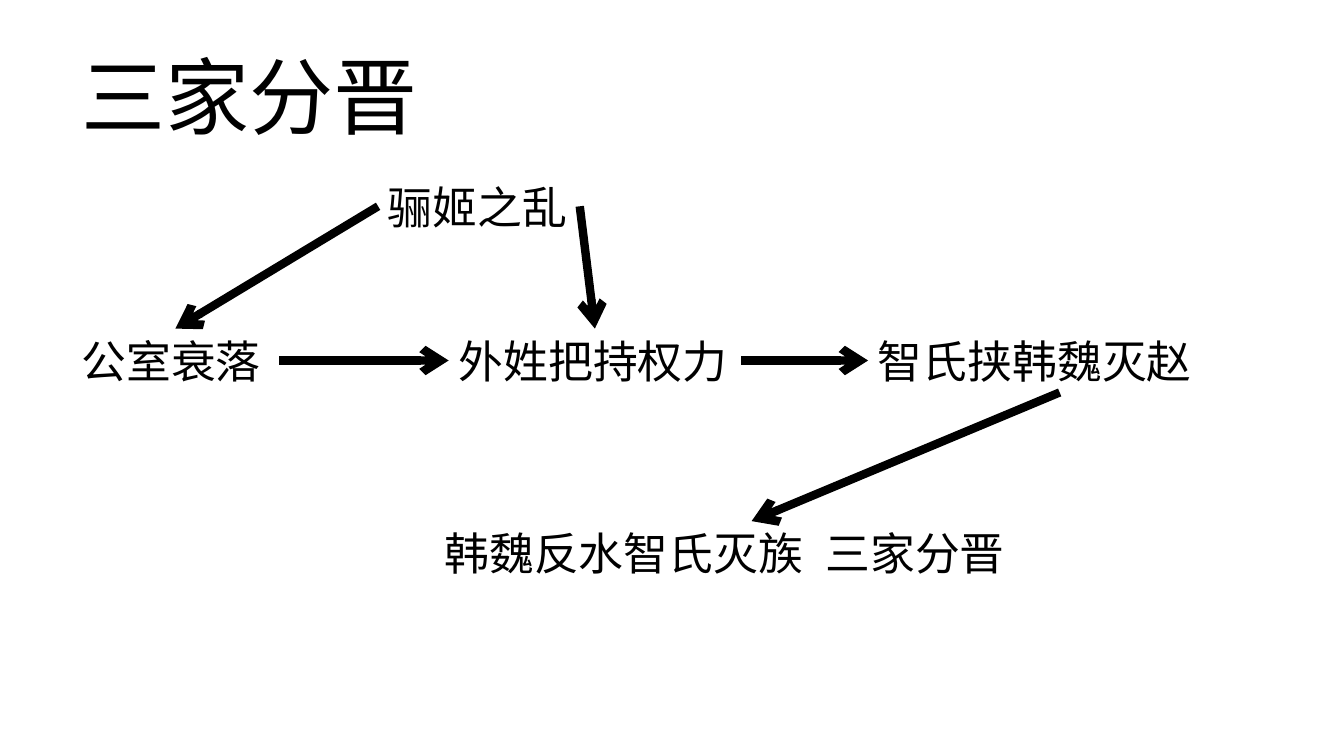
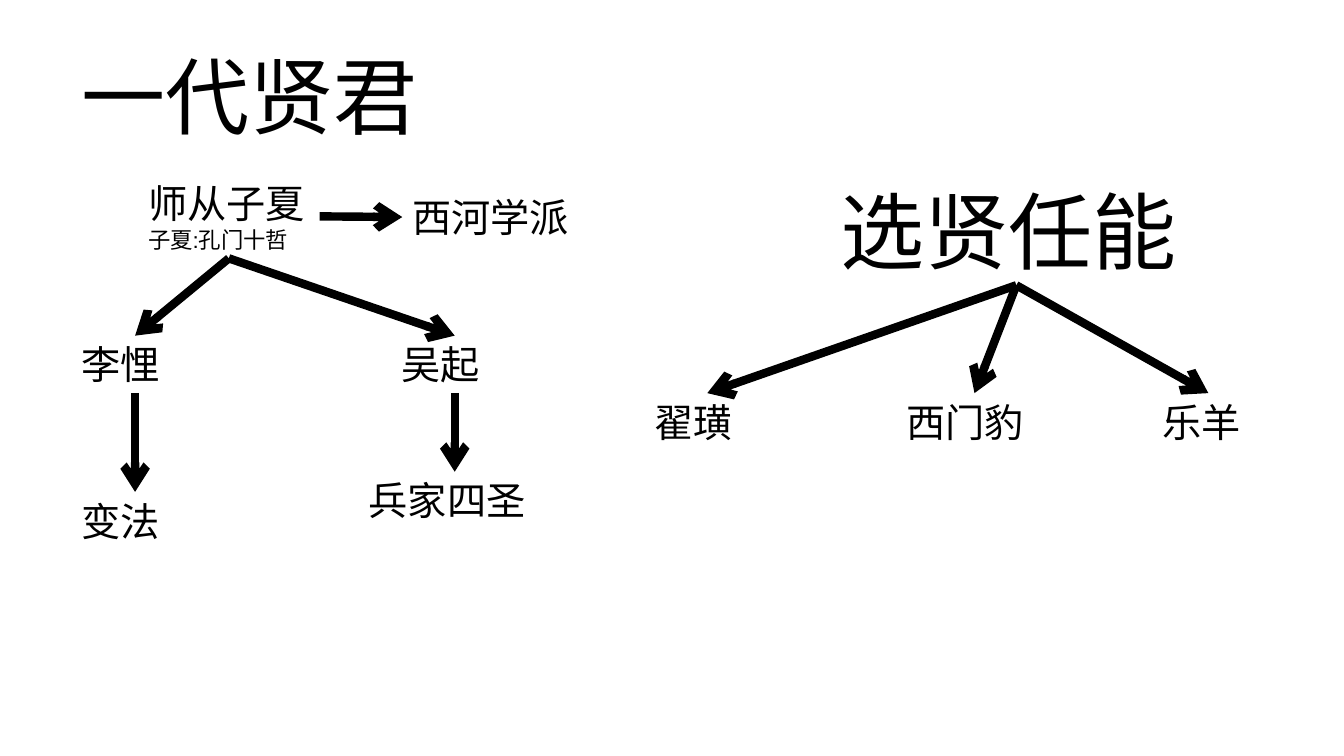
from lxml import etree
from pptx import Presentation
from pptx import util as u
from pptx.dml.color import RGBColor
from pptx.enum import shapes, text
from pptx.oxml.ns import qn

THEME = {
    "ink": RGBColor(0, 0, 0),
    "paper": RGBColor(255, 255, 255),
    "title_font": "Montserrat",
    "body_font": "Arial",
    "title": 60, "event": 32, "person": 28, "note": 16,
    "arrow": 6,
}
W, H = 13.33, 7.5
MARGIN = 0.71
TITLE_TOP, TITLE_H = 0.28, 1.45
ROW_1 = TITLE_TOP + TITLE_H
TOP, LEFT, BOTTOM, RIGHT = range(4)  # connection sites of a box


def add_text(s, lines, left, top, width, font=THEME["body_font"], height=None):
    """Add a text box of (words, size) lines, as tall as its lines unless given."""
    height = height or 0.1 + sum(size for _, size in lines) * 1.2 / 72
    sp = s.shapes.add_textbox(*map(u.Inches, (left, top, width, height)))
    tf = sp.text_frame
    tf.word_wrap = True
    for i, (words, size) in enumerate(lines):
        p = tf.add_paragraph() if i else tf.paragraphs[0]
        r = p.add_run()
        r.text = words
        for key, value in {"name": font, "size": u.Pt(size)}.items():
            setattr(r.font, key, value)
        r.font.color.rgb = THEME["ink"]
    return sp


def add_arrow(s, start, start_site, end, end_site):
    """Glue a thick arrow from one box to another."""
    cx = s.shapes.add_connector(shapes.MSO_CONNECTOR.STRAIGHT, 0, 0, 0, 0)
    cx.begin_connect(start, start_site)
    cx.end_connect(end, end_site)
    cx.line.color.rgb = THEME["ink"]
    cx.line.width = u.Pt(THEME["arrow"])
    etree.SubElement(cx.line._get_or_add_ln(), qn("a:tailEnd"), type="arrow")
    etree.SubElement(cx._element.spPr, qn("a:effectLst"))


EVENT, PERSON = THEME["event"], THEME["person"]
EVENT_ROW, PERSON_ROW, TALENT_ROW = 3.26, 3.33, 3.9

# Boxes: name -> (lines, left, top, width); arrows: (from, site, to, site)
SLIDES = [
    {
        "title": "三家分晋",
        "boxes": {
            "turmoil": ([("骊姬之乱", EVENT)], 3.75, ROW_1, 2),
            "decline": ([("公室衰落", EVENT)], MARGIN, EVENT_ROW, 2.06),
            "clans": ([("外姓把持权力", EVENT)], 4.45, EVENT_ROW, 2.9),
            "siege": ([("智氏挟韩魏灭赵", EVENT)], 8.61, EVENT_ROW, 3.8),
            "partition": ([("韩魏反水智氏灭族\u2002三家分晋", EVENT)],
                          4.31, 5.17, 6.29),
        },
        "arrows": [
            ("turmoil", LEFT, "decline", TOP),
            ("turmoil", RIGHT, "clans", TOP),
            ("decline", RIGHT, "clans", LEFT),
            ("clans", RIGHT, "siege", LEFT),
            ("siege", BOTTOM, "partition", TOP),
        ],
    },
    {
        "title": "一代贤君",
        "boxes": {
            "teacher": ([("师从子夏", PERSON), ("子夏:孔门十哲", THEME["note"])],
                        1.37, ROW_1, 1.8),
            "school": ([("西河学派", PERSON)], 3.99, 1.87, 1.79),
            "li_kui": ([("李悝", PERSON)], MARGIN, PERSON_ROW, 1.26),
            "wu_qi": ([("吴起", PERSON)], 3.88, PERSON_ROW, 1.26),
            "reform": ([("变法", PERSON)], MARGIN, 4.88, 1.26),
            "strategist": ([("兵家四圣", PERSON)], 3.56, 4.68, 1.9),
            "talent": ([("选贤任能", THEME["title"])], 8.24, ROW_1, 3.68),
            "zhai_huang": ([("翟璜", PERSON)], 6.39, TALENT_ROW, 1.25),
            "ximen_bao": ([("西门豹", PERSON)], 8.89, TALENT_ROW, 1.55),
            "yue_yang": ([("乐羊", PERSON)], 11.43, TALENT_ROW, 1.11),
        },
        "arrows": [
            ("teacher", RIGHT, "school", LEFT),
            ("teacher", BOTTOM, "li_kui", TOP),
            ("teacher", BOTTOM, "wu_qi", TOP),
            ("li_kui", BOTTOM, "reform", TOP),
            ("wu_qi", BOTTOM, "strategist", TOP),
            ("talent", BOTTOM, "zhai_huang", TOP),
            ("talent", BOTTOM, "ximen_bao", TOP),
            ("talent", BOTTOM, "yue_yang", TOP),
        ],
    },
]

prs = Presentation()
prs.slide_width, prs.slide_height = u.Inches(W), u.Inches(H)

for content in SLIDES:
    s = prs.slides.add_slide(prs.slide_layouts[6])
    s.background.fill.solid()
    s.background.fill.fore_color.rgb = THEME["paper"]

    title = add_text(s, [(content["title"], THEME["title"])], MARGIN, TITLE_TOP,
                     W - 2 * MARGIN, THEME["title_font"], TITLE_H)
    title.text_frame.vertical_anchor = text.MSO_ANCHOR.MIDDLE
    title.text_frame.paragraphs[0].line_spacing = 0.9

    boxes = {name: add_text(s, *box) for name, box in content["boxes"].items()}
    for start, start_site, end, end_site in content["arrows"]:
        add_arrow(s, boxes[start], start_site, boxes[end], end_site)

prs.save("out.pptx")
